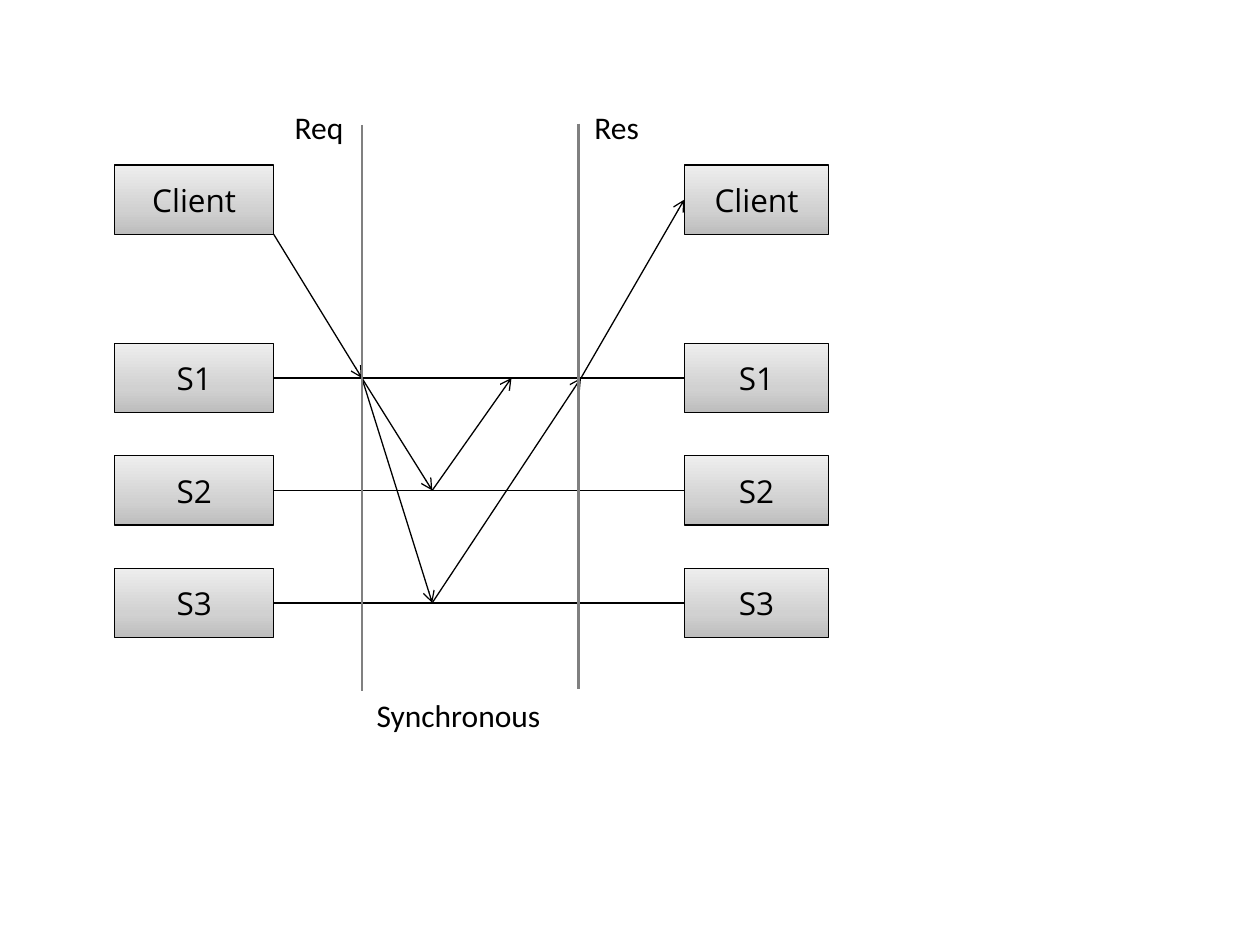
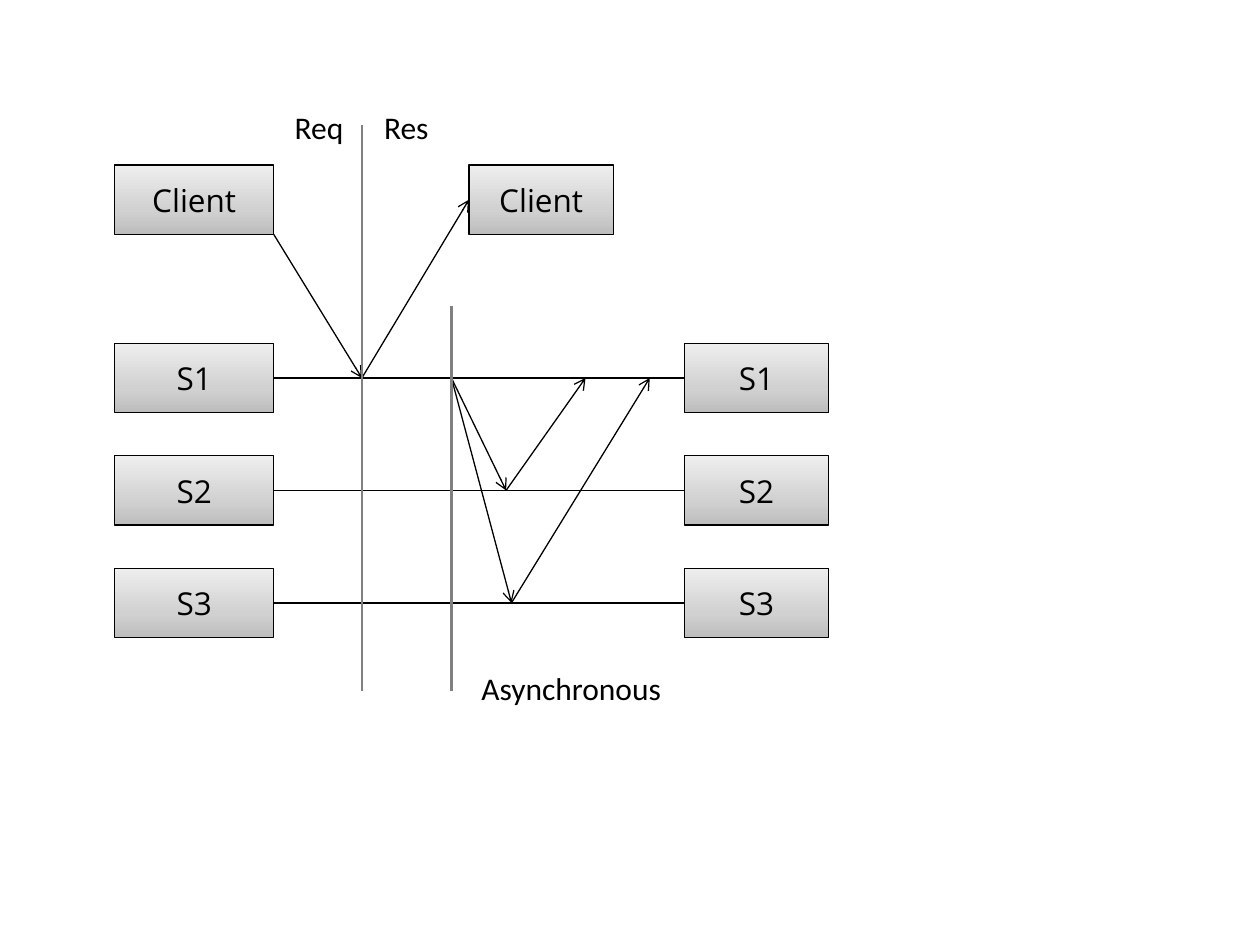
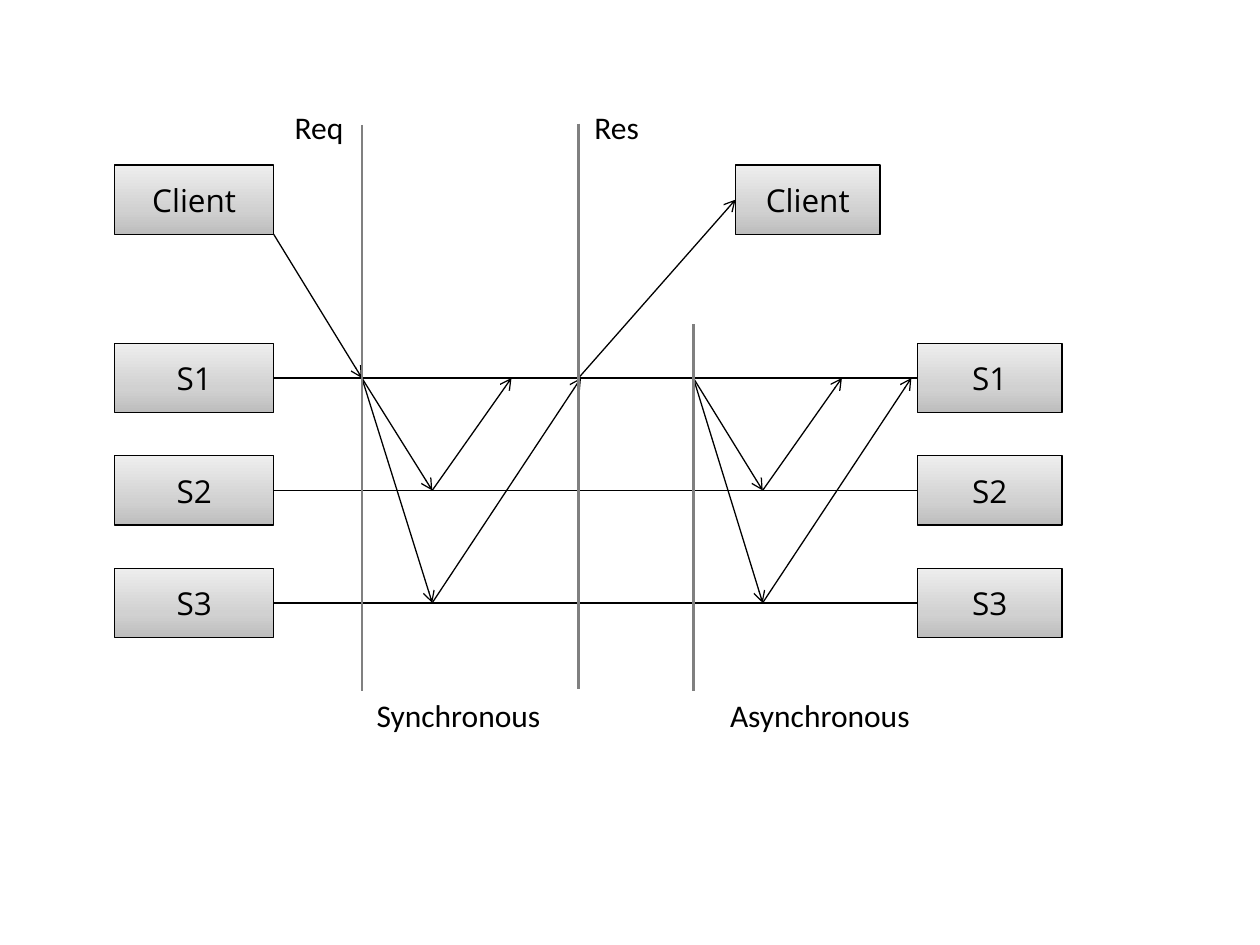
from copy import deepcopy

from lxml.etree import SubElement
from pptx import Presentation
from pptx.dml.color import RGBColor
from pptx.enum.shapes import MSO_CONNECTOR as Connector, MSO_SHAPE as Preset
from pptx.enum.text import MSO_ANCHOR as Anchor, MSO_AUTO_SIZE as AutoSize, PP_ALIGN as Align
from pptx.oxml.ns import qn
from pptx.util import Pt

color = RGBColor.from_string
BLACK, GRAY = "000000", "808080"
GRADIENT = [(0, "BDBDBD"), (0.35, "D1D1D1"), (1, "EEEEEE")]

BOX_HEIGHT = 39.6
LEFT, LEFT_WIDTH, RIGHT_WIDTH = 65.5, 90.9, 82.6
LEFT_EDGE = LEFT + LEFT_WIDTH
CLIENT_Y = 114.1
S1_Y, S2_Y, S3_Y = SERVER_YS = [216 + 64.25 * row for row in range(3)]
REQUEST_X, RESPONSE_X = 206.8, 330.6
TOP, BOTTOM = 71.3, 394.7
LABEL_Y, CAPTION_Y = 58.3, 393.9

request_label = ("Req", 161.3, LABEL_Y, 42.5)
response_label = ("Res", 332.6, LABEL_Y, 40.3)
synchronous_label = ("Synchronous", 208.1, CAPTION_Y, 109.4)
request_bar = (REQUEST_X, TOP, BOTTOM)
response_bar = (RESPONSE_X, 70.6, 393.9)
synchronous_fan = (REQUEST_X, 247, 247, 292.3, 332)

diagrams = [
    {
        "server_x": 391,
        "client_x": 391,
        "reply_x": 332,
        "fans": [synchronous_fan],
        "bars": [request_bar, response_bar],
        "labels": [request_label, response_label, synchronous_label],
    },
    {
        "server_x": 391,
        "client_x": 268,
        "reply_x": REQUEST_X,
        "fans": [(258, 289.2, 292.3, 334.6, 371.3)],
        "bars": [request_bar, (258, 175, BOTTOM)],
        "labels": [
            request_label,
            ("Res", 212.4, LABEL_Y, 40.3),
            ("Asynchronous", 268, 378.9, 118.1),
        ],
    },
    {
        "server_x": 524.3,
        "client_x": 420.3,
        "reply_x": RESPONSE_X,
        "fans": [synchronous_fan, (396.2, 435.8, 435.8, 481.1, 520.8)],
        "bars": [request_bar, response_bar, (396.2, 185.2, BOTTOM)],
        "labels": [
            request_label,
            response_label,
            synchronous_label,
            ("Asynchronous", 410.1, CAPTION_Y, 118.1),
        ],
    },
]


def add_text(shape, text, font="Calibri", size=18, align=Align.LEFT, anchor=Anchor.TOP, wrap=False):
    frame = shape.text_frame
    frame.word_wrap = wrap
    frame.vertical_anchor = anchor
    paragraph = frame.paragraphs[0]
    paragraph.alignment = align
    run = paragraph.add_run()
    run.text = text
    run.font.name = font
    run.font.size = Pt(size)
    run.font.color.rgb = color(BLACK)


def add_line(slide, start, end, line_color=BLACK, width=0.75, arrow=False):
    connector = slide.shapes.add_connector(Connector.STRAIGHT, *map(Pt, start + end))
    connector.line.color.rgb = color(line_color)
    connector.line.width = Pt(width)
    properties = connector.element.spPr
    if arrow:
        SubElement(properties.find(qn("a:ln")), qn("a:tailEnd"), type="arrow")
    SubElement(properties, qn("a:effectLst"))


presentation = Presentation()
presentation.slide_width, presentation.slide_height = Pt(720), Pt(540)

for diagram in diagrams:
    slide = presentation.slides.add_slide(presentation.slide_layouts[6])
    server_x, client_x = diagram["server_x"], diagram["client_x"]

    boxes = [("Client", LEFT, CLIENT_Y, LEFT_WIDTH), ("Client", client_x, CLIENT_Y, RIGHT_WIDTH)]
    for number, y in enumerate(SERVER_YS, 1):
        boxes.append((f"S{number}", LEFT, y, LEFT_WIDTH))
        boxes.append((f"S{number}", server_x, y, RIGHT_WIDTH))
        add_line(slide, (LEFT_EDGE, y), (server_x, y))

    for name, x, middle, width in boxes:
        box = slide.shapes.add_shape(
            Preset.RECTANGLE, Pt(x), Pt(middle - BOX_HEIGHT / 2), Pt(width), Pt(BOX_HEIGHT)
        )
        box.shadow.inherit = False
        box.line.color.rgb = color(BLACK)
        box.line.width = Pt(0.75)
        box.fill.gradient()
        box.fill.gradient_angle = 90
        stop_list = box.element.find(".//" + qn("a:gsLst"))
        stop_list.append(deepcopy(stop_list[-1]))
        for stop, (position, shade) in zip(box.fill.gradient_stops, GRADIENT):
            stop.position = position
            stop.color.rgb = color(shade)
        add_text(box, name, font="Open Sans", align=Align.CENTER, anchor=Anchor.MIDDLE, wrap=True)

    arrows = [
        ((LEFT_EDGE, CLIENT_Y + BOX_HEIGHT / 2), (REQUEST_X, S1_Y)),
        ((diagram["reply_x"], S1_Y), (client_x, CLIENT_Y)),
    ]
    for start_x, s2_x, s3_x, s2_return_x, s3_return_x in diagram["fans"]:
        arrows += [
            ((start_x, S1_Y), (s2_x, S2_Y)),
            ((start_x, S1_Y), (s3_x, S3_Y)),
            ((s2_x, S2_Y), (s2_return_x, S1_Y)),
            ((s3_x, S3_Y), (s3_return_x, S1_Y)),
        ]
    for start, end in arrows:
        add_line(slide, start, end, arrow=True)

    for x, top, bottom in diagram["bars"]:
        add_line(slide, (x, top), (x, bottom), line_color=GRAY, width=1.5)

    for text, x, y, width in diagram["labels"]:
        label = slide.shapes.add_textbox(Pt(x), Pt(y), Pt(width), Pt(29))
        label.text_frame.auto_size = AutoSize.SHAPE_TO_FIT_TEXT
        add_text(label, text)

presentation.save("out.pptx")
